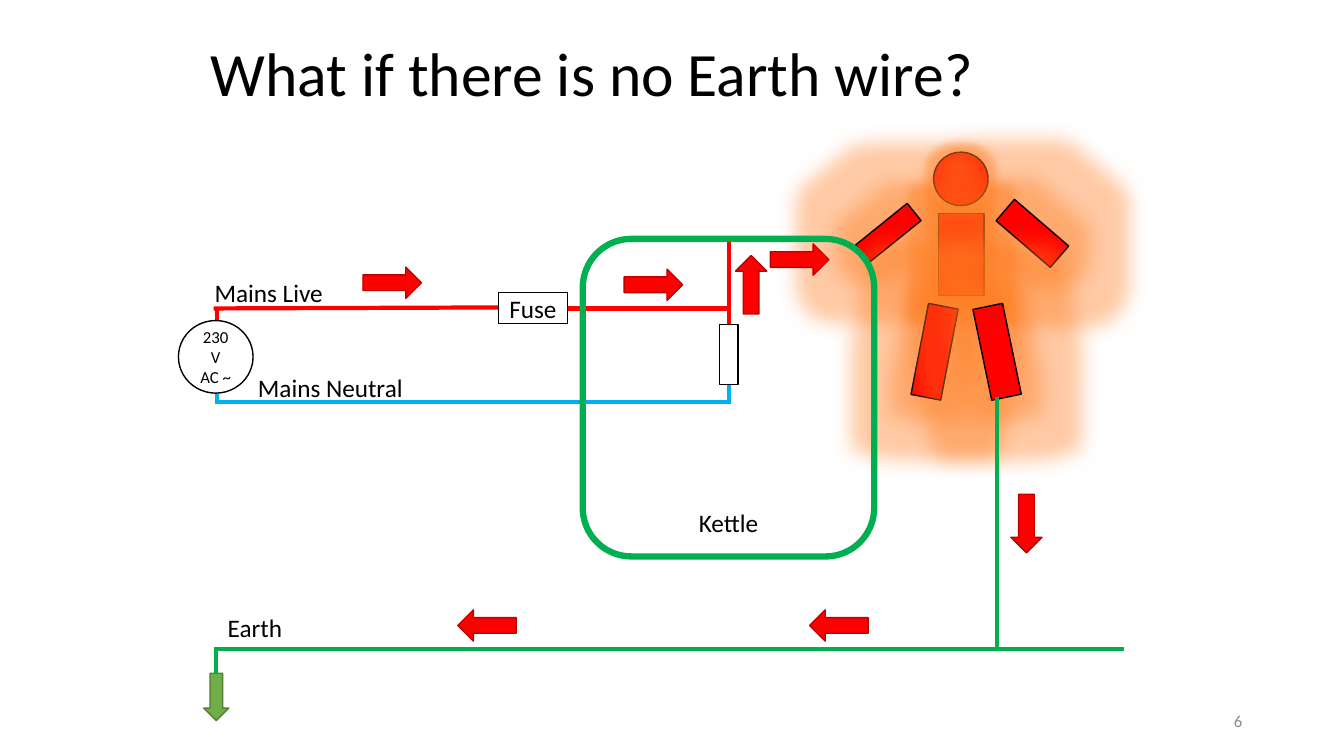
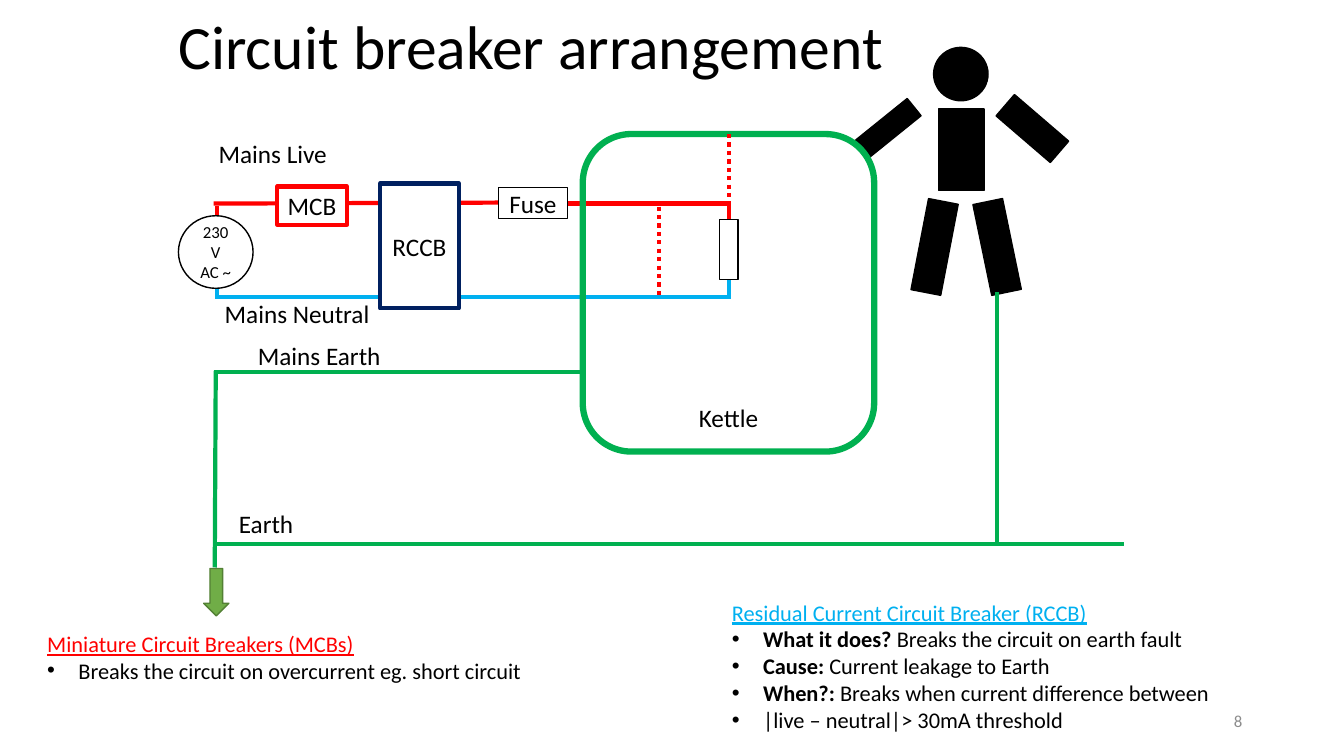
from dataclasses import dataclass
from typing import NamedTuple, Optional

from pptx import Presentation
from pptx.dml.color import RGBColor
from pptx.enum.dml import MSO_LINE
from pptx.enum.shapes import MSO_CONNECTOR, MSO_SHAPE
from pptx.enum.text import MSO_ANCHOR, PP_ALIGN
from pptx.oxml.ns import qn
from pptx.util import Pt
from lxml import etree

RECT, OVAL = MSO_SHAPE.RECTANGLE, MSO_SHAPE.OVAL
ROUND = MSO_SHAPE.ROUNDED_RECTANGLE
RIGHT, DOWN = MSO_SHAPE.RIGHT_ARROW, MSO_SHAPE.DOWN_ARROW
STRAIGHT, DOTTED = MSO_CONNECTOR.STRAIGHT, MSO_LINE.ROUND_DOT
MIDDLE, BOTTOM, TOP = MSO_ANCHOR.MIDDLE, MSO_ANCHOR.BOTTOM, MSO_ANCHOR.TOP
LEFT, CENTER, ALIGN_RIGHT = PP_ALIGN.LEFT, PP_ALIGN.CENTER, PP_ALIGN.RIGHT
EMU_PER_PX = 9144  # 100 px to the inch


@dataclass(frozen=True)
class Theme:
    font: str = "Calibri"
    black: str = "000000"
    white: str = "FFFFFF"
    live: str = "FF0000"
    neutral: str = "00B0F0"
    earth: str = "00B050"
    arrow_edge: str = "C00000"
    ground: str = "70AD47"
    ground_edge: str = "538035"
    breaker: str = "002060"
    glow: str = "FF7C1F"
    grey: str = "8C8C8C"
    title: int = 44
    label: int = 18
    note: int = 16
    small: int = 12
    wire: int = 3


T = Theme()


class Wire(NamedTuple):
    x1: int
    y1: int
    x2: int
    y2: int
    color: str
    dotted: bool = False


class Box(NamedTuple):
    x: int
    y: int
    w: int
    h: int
    kind: int = RECT
    fill: Optional[str] = None
    line: str = T.black
    weight: float = 1
    rot: float = 0
    lines: tuple[str, ...] = ()
    size: int = T.label
    anchor: int = MIDDLE
    glow: int = 0


class Label(NamedTuple):
    x: int
    y: int
    w: int
    text: str


class Run(NamedTuple):
    text: str
    bold: bool = False


class Note(NamedTuple):
    x: int
    y: int
    w: int
    h: int
    wrap: bool
    heading: str
    color: str
    items: tuple[tuple[Run, ...], ...]


# Parts common to both circuits
WIRES = [
    Wire(214, 399, 725, 399, T.neutral),
    Wire(563, 306, 723, 306, T.live),
    Wire(212, 306, 494, 305, T.live),
    Wire(723, 305, 723, 322, T.live),
    Wire(723, 382, 723, 399, T.neutral),
    Wire(215, 391, 215, 401, T.neutral),
    Wire(215, 308, 215, 318, T.live),
    Wire(212, 644, 1115, 644, T.earth),
    Wire(989, 644, 989, 394, T.earth),
]
PERSON = [
    Box(931, 212, 45, 81, glow=20),
    Box(926, 151, 54, 53, OVAL, glow=15),
    Box(870, 198, 22, 66, rot=51.1, glow=40),
    Box(1010, 196, 28, 71, rot=310.7, glow=40),
    Box(912, 303, 30, 92, rot=10.9, glow=40),
    Box(974, 303, 30, 92, rot=348.3, glow=40),
]
PARTS = [
    Box(578, 237, 289, 315, ROUND, line=T.earth, weight=4.5,
        lines=("Kettle",), anchor=BOTTOM),
    Box(714, 322, 18, 59, weight=0.75),
    Box(177, 318, 74, 72, OVAL, T.white, lines=("230V", "AC ~"), size=T.small),
    Box(202, 668, 25, 47, DOWN, T.ground, T.ground_edge),
    Box(494, 290, 69, 31, weight=0.75, lines=("Fuse",)),
]

# Parts of one slide each; arrows are x, y and turn
ARROWS = [(764, 242, 0), (803, 605, 180), (989, 504, 90), (454, 605, 180),
          (360, 265, 0), (619, 267, 0), (716, 267, 270)]
FAULT_WIRES = [Wire(723, 240, 723, 307, T.live), Wire(214, 668, 214, 644, T.earth)]
FAULT_LABELS = [Label(246, 364, 165, "Mains Neutral"),
                Label(203, 270, 129, "Mains Live"), Label(216, 603, 75, "Earth")]

BREAKER_WIRES = [
    Wire(212, 369, 578, 369, T.earth),
    Wire(213, 563, 214, 368, T.earth),
    Wire(654, 205, 654, 296, T.live, True),
    Wire(723, 133, 723, 205, T.live, True),
]
BREAKERS = [
    Box(377, 182, 78, 124, fill=T.white, line=T.breaker, weight=3, lines=("RCCB",)),
    Box(275, 185, 69, 38, fill=T.white, line=T.live, weight=3, lines=("MCB",)),
]
BREAKER_LABELS = [Label(213, 291, 165, "Mains Neutral"), Label(207, 132, 129, "Mains Live"),
                  Label(227, 499, 75, "Earth"), Label(246, 333, 143, "Mains Earth")]
NOTES = [
    Note(37, 620, 497, 64, False, "Miniature Circuit Breakers (MCBs)", T.live,
         ((Run("Breaks the circuit on overcurrent eg. short circuit"),),)),
    Note(716, 589, 611, 145, True, "Residual Current Circuit Breaker (RCCB)", T.neutral,
         ((Run("What it does? ", True), Run("Breaks the circuit on earth fault")),
          (Run("Cause: ", True), Run("Current leakage to Earth")),
          (Run("When?: ", True), Run("Breaks when current difference between")),
          (Run("|live – neutral|> 30mA threshold"),))),
]


# Drawing helpers
def px(*values: int) -> list[int]:
    return [v * EMU_PER_PX for v in values]


def rgb(color: str) -> RGBColor:
    return RGBColor.from_string(color)


def add_run(p, text: str, size: int, color: str = T.black, **fmt) -> None:
    r = p.add_run()
    r.text = text
    for name, value in {"name": T.font, "size": Pt(size), **fmt}.items():
        setattr(r.font, name, value)
    r.font.color.rgb = rgb(color)


def add_glow(sp, radius: int) -> None:
    effects = sp._element.spPr.find(qn("a:effectLst"))
    glow = etree.SubElement(effects, qn("a:glow"), rad=str(radius * EMU_PER_PX))
    color = etree.SubElement(glow, qn("a:srgbClr"), val=T.glow)
    etree.SubElement(color, qn("a:alpha"), val="40000")


def add_wire(slide, wire: Wire, dy: int = 0) -> None:
    c = slide.shapes.add_connector(
        STRAIGHT, *px(wire.x1, wire.y1 + dy, wire.x2, wire.y2 + dy))
    c.line.color.rgb = rgb(wire.color)
    c.line.width = Pt(T.wire)
    if wire.dotted:
        c.line.dash_style = DOTTED
    etree.SubElement(c._element.spPr, qn("a:effectLst"))


def add_box(slide, box: Box, dy: int = 0) -> None:
    sp = slide.shapes.add_shape(box.kind, *px(box.x, box.y + dy, box.w, box.h))
    sp.shadow.inherit = False
    sp.rotation = box.rot
    if box.fill:
        sp.fill.solid()
        sp.fill.fore_color.rgb = rgb(box.fill)
    else:
        sp.fill.background()
    sp.line.color.rgb = rgb(box.line)
    sp.line.width = Pt(box.weight)
    if box.glow:
        add_glow(sp, box.glow)
    tf = sp.text_frame
    tf.vertical_anchor = box.anchor
    for i, text in enumerate(box.lines):
        p = tf.add_paragraph() if i else tf.paragraphs[0]
        p.alignment = CENTER
        add_run(p, text, box.size)


def add_text(slide, x: int, y: int, w: int, h: int, wrap: bool = False,
             anchor: int = TOP):
    tf = slide.shapes.add_textbox(*px(x, y, w, h)).text_frame
    tf.word_wrap = wrap
    tf.vertical_anchor = anchor
    return tf


def add_note(slide, note: Note) -> None:
    tf = add_text(slide, *note[:5])
    add_run(tf.paragraphs[0], note.heading, T.note, note.color, underline=True)
    indent = px(31)[0]
    for item in note.items:
        p = tf.add_paragraph()
        pPr = p._p.get_or_add_pPr()
        pPr.set("marL", str(indent))
        pPr.set("indent", str(-indent))
        etree.SubElement(pPr, qn("a:buFont"), typeface="Arial")
        etree.SubElement(pPr, qn("a:buChar"), char="•")
        for run in item:
            add_run(p, run.text, T.note, bold=run.bold)


def add_circuit(prs, title: str, title_x: int, title_y: int, number: str,
                person: str, dy: int = 0, glowing: bool = False):
    """Add a slide with its title, number and the shared circuit."""
    slide = prs.slides.add_slide(prs.slide_layouts[5])
    sp = slide.shapes.title
    sp.left, sp.top, sp.width, sp.height = px(title_x, title_y, 963, 96)
    tf = sp.text_frame
    tf.vertical_anchor = MIDDLE
    p = tf.paragraphs[0]
    p.alignment, p.line_spacing = LEFT, 0.9
    add_run(p, title, T.title)

    p = add_text(slide, 942, 695, 300, 40, True, MIDDLE).paragraphs[0]
    p.alignment = ALIGN_RIGHT
    add_run(p, number, T.small, T.grey)

    for wire in WIRES:
        add_wire(slide, wire, dy)
    for limb in PERSON:
        add_box(slide, limb._replace(fill=person, glow=limb.glow * glowing), dy)
    for part in PARTS:
        add_box(slide, part, dy)
    # The leg's wire stays in front of the glow
    add_wire(slide, WIRES[-1], dy)
    return slide


def add_details(slide, wires: list[Wire], boxes: list[Box], labels: list[Label]) -> None:
    for wire in wires:
        add_wire(slide, wire)
    for box in boxes:
        add_box(slide, box)
    for label in labels:
        tf = add_text(slide, label.x, label.y, label.w, 40)
        add_run(tf.paragraphs[0], label.text, T.label)


def main() -> None:
    prs = Presentation()
    prs.slide_width, prs.slide_height = px(1333, 750)

    # No earth wire
    slide = add_circuit(prs, "What if there is no Earth wire?", 199, 28, "6",
                        T.live, glowing=True)
    arrows = [Box(x, y, 58, 31, RIGHT, T.live, T.arrow_edge, rot=rot)
              for x, y, rot in ARROWS]
    add_details(slide, FAULT_WIRES, arrows, FAULT_LABELS)

    # Circuit breakers
    slide = add_circuit(prs, "Circuit breaker arrangement", 167, 1, "8",
                        T.black, dy=-104)
    add_details(slide, BREAKER_WIRES, BREAKERS, BREAKER_LABELS)
    for note in NOTES:
        add_note(slide, note)

    prs.save("out.pptx")


if __name__ == "__main__":
    main()
